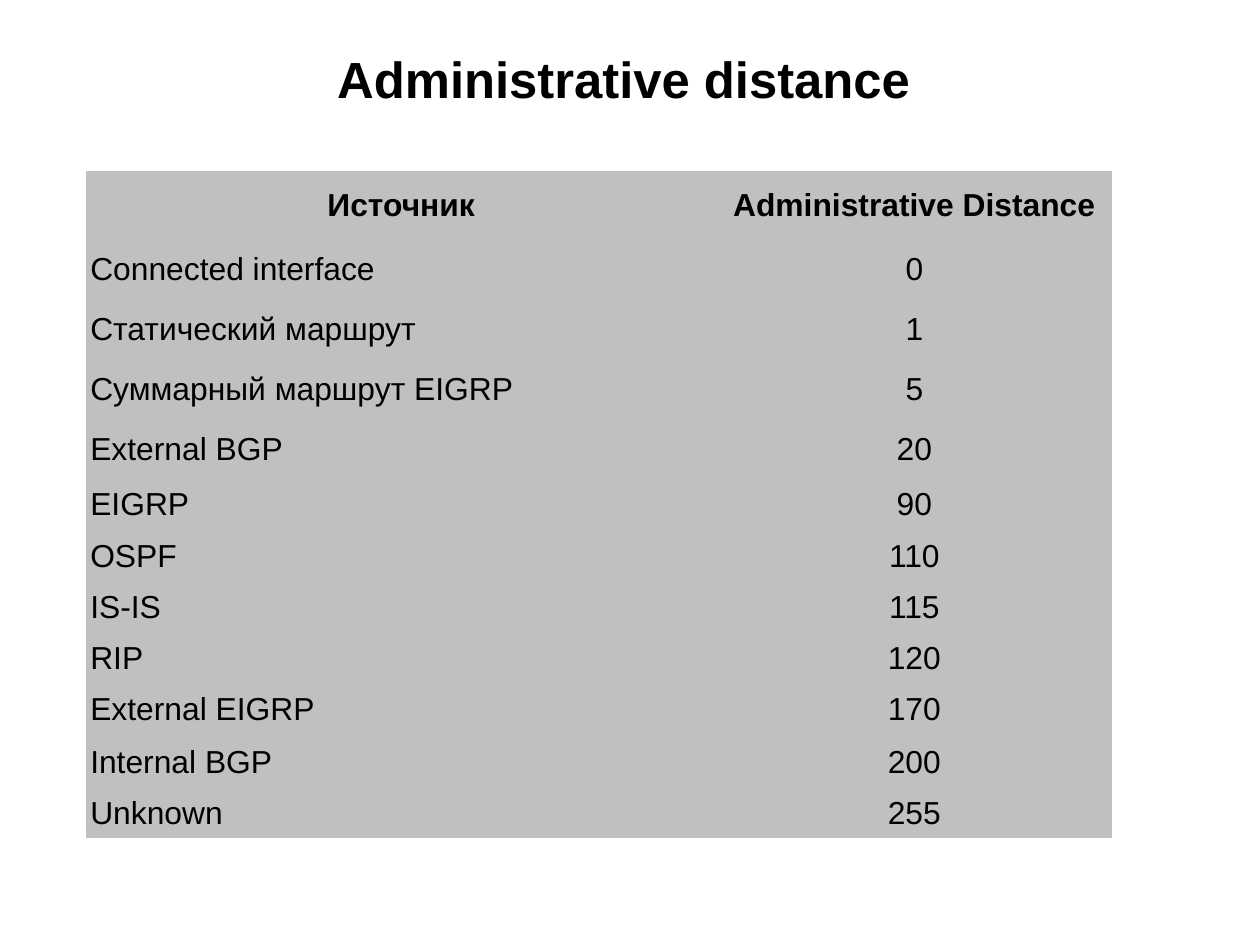
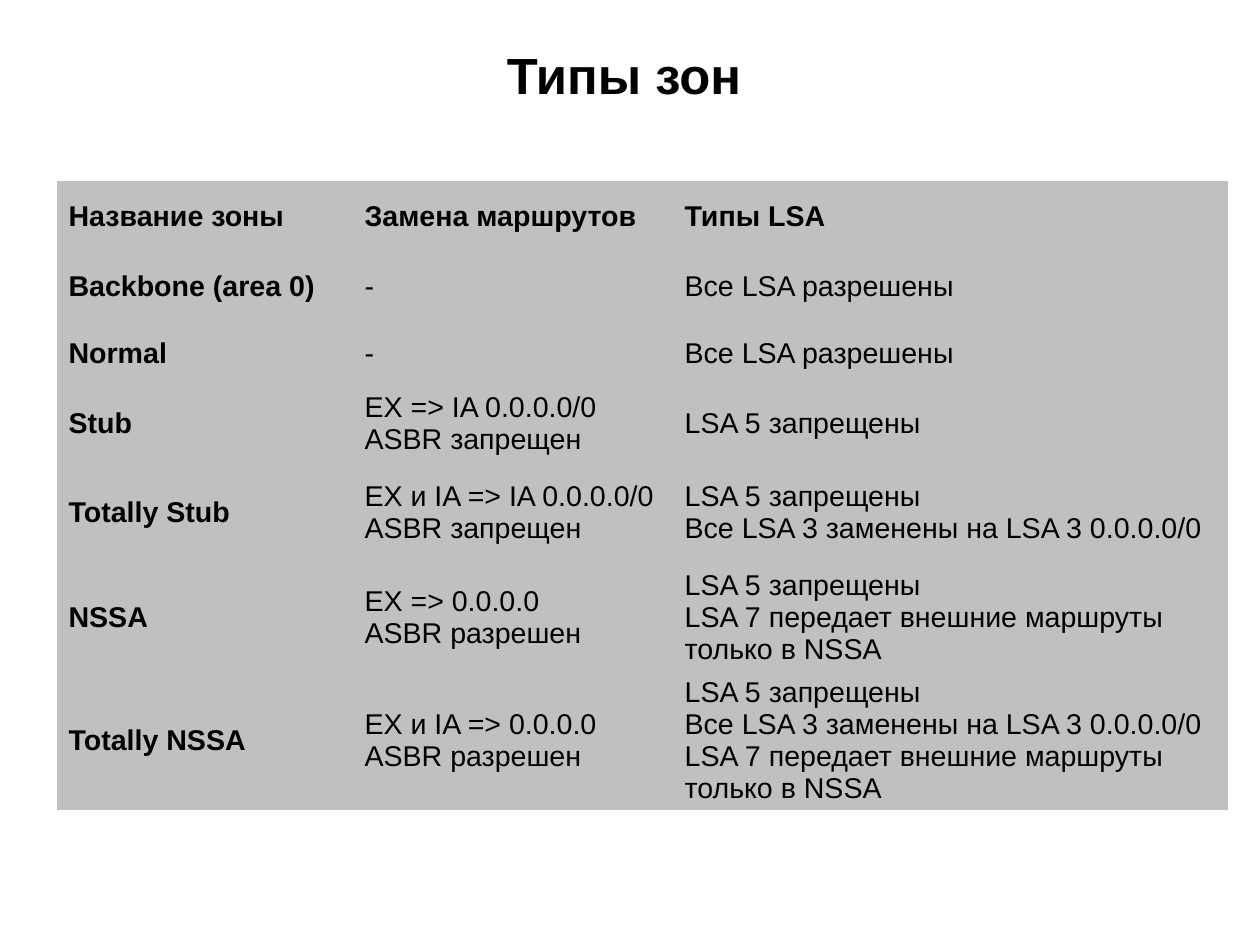
from pptx import Presentation
from pptx.dml.color import RGBColor
from pptx.enum.text import MSO_ANCHOR, MSO_AUTO_SIZE, PP_ALIGN
from pptx.oxml.ns import qn
from pptx.util import Cm, Inches, Pt

# Shared style
FONT = "Arial"
BLACK = RGBColor(0x00, 0x00, 0x00)
GREY = RGBColor(0xC0, 0xC0, 0xC0)
PLAIN_TABLE_STYLE = "{2D5ABB26-0587-4C30-8999-92F81FD0307C}"  # no fill, no grid
TITLE_ONLY = 5

# Administrative distances: source, value
DISTANCES = [
    ("Источник", "Administrative Distance"),
    ("Connected interface", "0"),
    ("Статический маршрут", "1"),
    ("Суммарный маршрут EIGRP", "5"),
    ("External BGP", "20"),
    ("EIGRP", "90"),
    ("OSPF", "110"),
    ("IS-IS", "115"),
    ("RIP", "120"),
    ("External EIGRP", "170"),
    ("Internal BGP", "200"),
    ("Unknown", "255"),
]
DISTANCE_BOX = (0.75, 1.5, 8.99, 5.84)
DISTANCE_COLUMNS = [5.52, 3.46]
DISTANCE_ROWS = [0.59, 0.53, 0.52, 0.54, 0.5, 0.46, 0.46, 0.43, 0.46, 0.44, 0.48, 0.42]

# Area types: name, route replacement, LSA types (a line break starts a paragraph)
NO_LSA5 = "LSA 5 запрещены"
LSA3_REPLACED = "Все LSA 3 заменены на LSA 3 0.0.0.0/0"
LSA7_IN_NSSA = "LSA 7 передает внешние маршруты только в NSSA"
AREAS = [
    ("Название зоны", "Замена маршрутов", "Типы LSA"),
    ("Backbone (area 0)", "-", "Все LSA разрешены"),
    ("Normal", "-", "Все LSA разрешены"),
    ("Stub", "EX => IA 0.0.0.0/0\nASBR запрещен", NO_LSA5),
    ("Totally Stub", "EX и IA => IA 0.0.0.0/0\nASBR запрещен",
     f"{NO_LSA5}\n{LSA3_REPLACED}"),
    ("NSSA", "EX => 0.0.0.0\nASBR разрешен", f"{NO_LSA5}\n{LSA7_IN_NSSA}"),
    ("Totally NSSA", "EX и IA => 0.0.0.0\nASBR разрешен",
     f"{NO_LSA5}\n{LSA3_REPLACED}\n{LSA7_IN_NSSA}"),
]
AREA_BOX = (0.5, 1.58, 10.25, 5.52)
AREA_COLUMNS = [2.59, 2.8, 4.85]
AREA_ROWS = [0.63, 0.6, 0.57, 0.64, 0.89, 0.89, 0.89]


def format_text(text_frame, size, bold, align):
    for para in text_frame.paragraphs:
        para.alignment = align
        for span in para.runs:
            span.font.name = FONT
            span.font.size = Pt(size)
            span.font.bold = bold
            span.font.color.rgb = BLACK


def add_titled_slide(deck, text, line_spacing=1.0):
    page = deck.slides.add_slide(deck.slide_layouts[TITLE_ONLY])
    title = page.shapes.title
    title.left, title.top = Inches(0.5), Inches(0.25)
    title.width, title.height = Inches(9.92), Inches(0.87)
    frame = title.text_frame
    frame.text = text
    frame.auto_size = MSO_AUTO_SIZE.NONE
    frame.vertical_anchor = MSO_ANCHOR.MIDDLE
    frame.margin_left = frame.margin_right = 0
    frame.margin_top = frame.margin_bottom = 0
    frame.paragraphs[0].line_spacing = line_spacing
    format_text(frame, 32, True, PP_ALIGN.CENTER)
    return page


def add_grey_table(page, box, columns, heights, rows, size, margin, cell_style):
    """cell_style(row, column) gives the boldness and alignment of a cell."""
    left, top, width, height = (Inches(length) for length in box)
    frame = page.shapes.add_table(
        len(rows), len(columns), left, top, width, height)
    frame.element.find(".//" + qn("a:tableStyleId")).text = PLAIN_TABLE_STYLE
    table = frame.table
    table.first_row = table.horz_banding = False
    for column, column_width in zip(table.columns, columns):
        column.width = Inches(column_width)
    for row, row_height in zip(table.rows, heights):
        row.height = Inches(row_height)
    # Sizing rows and columns resizes the frame, so its own size comes last
    frame.width, frame.height = width, height
    for r, texts in enumerate(rows):
        for c, text in enumerate(texts):
            cell = table.cell(r, c)
            cell.fill.solid()
            cell.fill.fore_color.rgb = GREY
            cell.vertical_anchor = MSO_ANCHOR.MIDDLE
            cell.margin_left = cell.margin_right = Inches(margin)
            cell.margin_top = cell.margin_bottom = Inches(0.05)
            cell.text_frame.text = text
            format_text(cell.text_frame, size, *cell_style(r, c))


def distance_style(row, column):
    centred = row == 0 or column == 1
    return row == 0, PP_ALIGN.CENTER if centred else PP_ALIGN.LEFT


def area_style(row, column):
    return row == 0 or column == 0, PP_ALIGN.LEFT


def main():
    deck = Presentation()
    deck.slide_width, deck.slide_height = Cm(28), Cm(21)

    # Administrative distance
    page = add_titled_slide(deck, "Administrative distance")
    add_grey_table(page, DISTANCE_BOX, DISTANCE_COLUMNS, DISTANCE_ROWS,
                   DISTANCES, 20, 0.04, distance_style)

    # Area types
    page = add_titled_slide(deck, "Типы зон", line_spacing=0.9)
    add_grey_table(page, AREA_BOX, AREA_COLUMNS, AREA_ROWS,
                   AREAS, 18, 0.1, area_style)

    deck.save("out.pptx")


if __name__ == "__main__":
    main()
